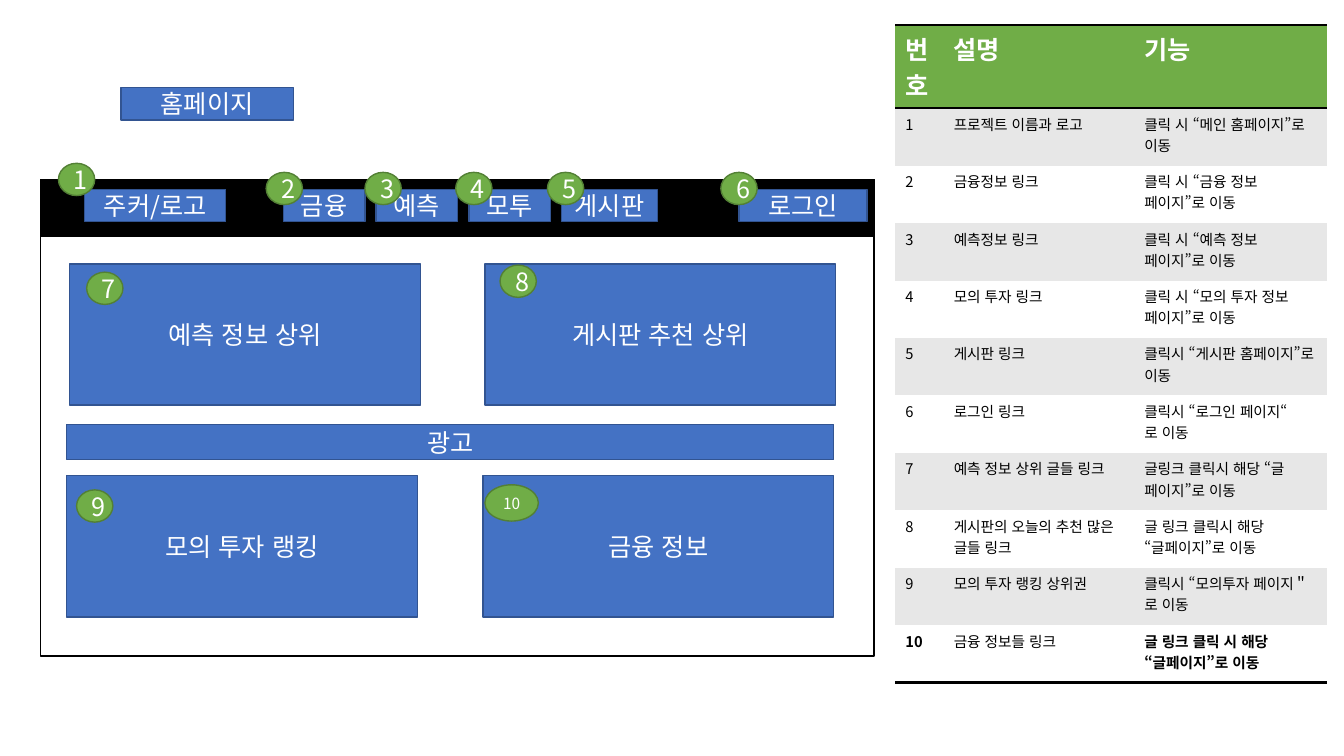
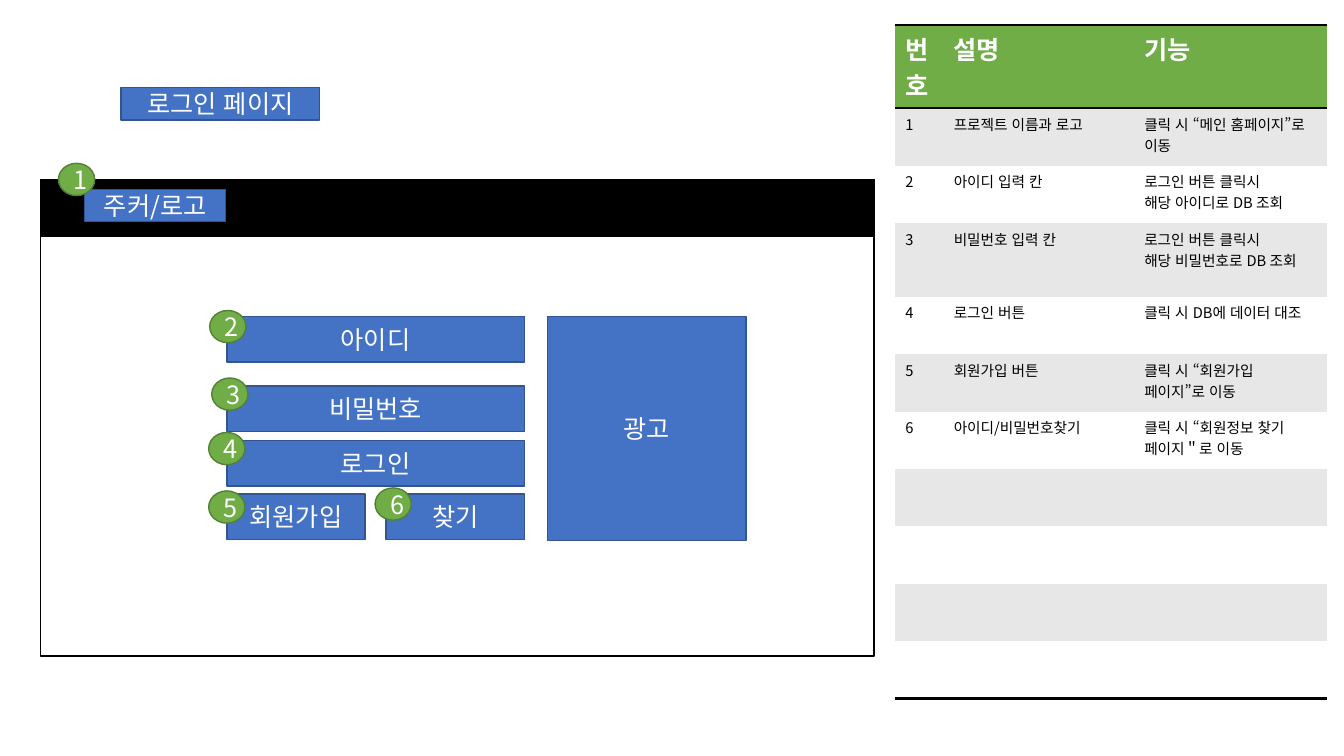
"""Builds two annotated wireframe slides: a home page and a login page."""
from collections import namedtuple

from lxml import etree
from pptx import Presentation
from pptx.dml.color import RGBColor
from pptx.enum import lang, shapes, text
from pptx.oxml import ns
from pptx.util import Inches, Pt

FONT = "Noto Sans CJK KR"
COLORS = {
    "white": "FFFFFF", "black": "000000", "stripe": "E7E7E7",
    "blue": "4472C4", "blue_edge": "325491",
    "green": "70AD47", "green_edge": "538035",
}
NO_GRID_STYLE = "{2D5ABB26-0587-4C30-8999-92F81FD0307C}"
BADGE_SIZE = (0.36, 0.32)
COLUMN_WIDTHS = (0.48, 1.89, 1.91)
HEADINGS = ("번호", "설명", "기능")
SPEC_ROWS = 10


class Box(namedtuple("Box", "left top width height")):
    """A rectangle in inches."""

    def inside(self, dx, dy, width, height):
        """Return a box offset from this one's top left corner."""
        return Box(self.left + dx, self.top + dy, width, height)

    def lengths(self):
        """Return the four lengths for python-pptx."""
        return [Inches(round(value, 2)) for value in self]


FRAME = Box(0.4, 1.78, 8.27, 4.73)
SPEC = Box(8.88, 0.25, sum(COLUMN_WIDTHS), 6.36)


def color(name):
    """Look up a palette colour."""
    return RGBColor.from_string(COLORS[name])


def add_text(paragraph, content, size=18, ink="white", bold=False):
    """Add one formatted run."""
    run = paragraph.add_run()
    run.text = content
    font = run.font
    font.size, font.bold, font.name = Pt(size), bold, FONT
    font.color.rgb = color(ink)
    font.language_id = lang.MSO_LANGUAGE_ID.KOREAN
    latin = run.font._element.find(ns.qn("a:latin"))
    latin.addnext(etree.Element(ns.qn("a:ea"), typeface=FONT))


def paint(part, fill, edge):
    """Set a part's fill and one-point outline."""
    part.fill.solid()
    part.fill.fore_color.rgb = color(fill)
    part.line.color.rgb = color(edge)
    part.line.width = Pt(1)


def add_label(part, content, size=18):
    """Centre a white label in a part."""
    frame = part.text_frame
    frame.word_wrap = True
    frame.auto_size = text.MSO_AUTO_SIZE.NONE
    frame.vertical_anchor = text.MSO_ANCHOR.MIDDLE
    frame.paragraphs[0].alignment = text.PP_ALIGN.CENTER
    add_text(frame.paragraphs[0], content, size)


def add_part(slide, box, fill, edge, label="", size=18, kind="RECTANGLE"):
    """Draw a flat shape with an optional label."""
    part = slide.shapes.add_shape(shapes.MSO_SHAPE[kind], *box.lengths())
    part.shadow.inherit = False
    paint(part, fill, edge)
    if label:
        add_label(part, label, size)


def add_widget(slide, box, label, number="", shift=(0, 0), badge=BADGE_SIZE, size=18):
    """Draw a blue page element and its numbered green badge."""
    add_part(slide, box, "blue", "blue_edge", label)
    if number:
        add_part(slide, box.inside(*shift, *badge), "green", "green_edge",
                 number, size, "OVAL")


def add_title(slide, box, label):
    """Turn the title placeholder into the page tag."""
    title = slide.shapes.title
    title.left, title.top, title.width, title.height = box.lengths()
    paint(title, "blue", "blue_edge")
    add_label(title, label)


def add_browser(slide, frame):
    """Draw the page outline, its black header and the logo."""
    add_part(slide, frame, "white", "black")
    add_part(slide, frame.inside(0, 0, frame.width, 0.57), "black", "black")
    add_widget(slide, frame.inside(0.44, 0.1, 1.4, 0.32), "주커/로고", "1", (-0.26, -0.26))


def add_home(slide, frame):
    """Place the menu, four panels and advert of the home page."""
    menu = [("금융", 0.81, -0.17), ("예측", 0.81, -0.11),
            ("모투", 0.81, -0.13), ("게시판", 0.95, -0.14)]
    for index, (label, width, shift) in enumerate(menu):
        add_widget(slide, frame.inside(2.41 + 0.92 * index, 0.1, width, 0.32),
                   label, str(index + 2), (shift, -0.17))
    add_widget(slide, frame.inside(6.93, 0.1, 1.27, 0.32), "로그인", "6", (-0.18, -0.17))
    panels = [
        (0.29, 0.84, "예측 정보 상위", "7", (0.17, 0.08)),
        (4.41, 0.84, "게시판 추천 상위", "8", (0.15, 0.01)),
        (0.26, 2.94, "모의 투자 랭킹", "9", (0.1, 0.14)),
        (4.39, 2.94, "금융 정보", "10", (0.02, 0.09), (0.53, 0.36), 11),
    ]
    for dx, dy, *details in panels:
        add_widget(slide, frame.inside(dx, dy, 3.48, 1.4), *details)
    add_widget(slide, frame.inside(0.26, 2.43, 7.61, 0.35), "광고")


def add_login(slide, frame):
    """Place the form and advert of the login page."""
    fields = [
        (1.85, 1.36, 2.95, "아이디", "2", (-0.17, -0.06)),
        (1.85, 2.05, 2.95, "비밀번호", "3", (-0.15, -0.08)),
        (1.85, 2.59, 2.95, "로그인", "4", (-0.18, -0.08)),
        (1.85, 3.12, 1.37, "회원가입", "5", (-0.18, -0.03)),
        (3.43, 3.12, 1.37, "찾기", "6", (-0.11, -0.06)),
    ]
    for dx, dy, width, *details in fields:
        add_widget(slide, frame.inside(dx, dy, width, 0.45), *details)
    add_widget(slide, frame.inside(5.03, 1.36, 1.97, 2.22), "광고")


def style_cell(cell, fill, edges):
    """Fill a cell and rule the named edges in black."""
    properties = cell._tc.get_or_add_tcPr()
    for edge in edges:
        rule = etree.SubElement(properties, ns.qn("a:ln" + edge), w=str(Pt(2)))
        solid = etree.SubElement(rule, ns.qn("a:solidFill"))
        etree.SubElement(solid, ns.qn("a:srgbClr"), val=COLORS["black"])
    cell.fill.solid()
    cell.fill.fore_color.rgb = color(fill)


def fill_cell(cell, content, **style):
    """Write each line of the content as a paragraph."""
    frame = cell.text_frame
    for index, line in enumerate(content.split("\n")):
        paragraph = frame.add_paragraph() if index else frame.paragraphs[0]
        add_text(paragraph, line, **style)


def add_spec(slide, box, entries, tall_row=None, bold_row=None):
    """Build the table that explains the numbered elements."""
    holder = slide.shapes.add_table(SPEC_ROWS + 1, len(HEADINGS), *box.lengths())
    next(holder.element.iter(ns.qn("a:tableStyleId"))).text = NO_GRID_STYLE
    table = holder.table
    table.first_row = table.horz_banding = False
    for column, width in zip(table.columns, COLUMN_WIDTHS):
        column.width = Inches(width)
    for index, row in enumerate(table.rows):
        row.height = Inches(0.66 if index == 0 else 0.73 if index == tall_row else 0.57)
        fill = "green" if index == 0 else "stripe" if index % 2 else "white"
        edges = "TB" if index == 0 else "B" if index == SPEC_ROWS else ""
        for cell in row.cells:
            style_cell(cell, fill, edges)
    for cell, heading in zip(table.rows[0].cells, HEADINGS):
        fill_cell(cell, heading, bold=True)
    for number, entry in enumerate(entries, 1):
        for column, content in enumerate((str(number), *entry)):
            fill_cell(table.cell(number, column), content, size=10.5, ink="black",
                      bold=number == bold_row and column != 1)


LOGO_ENTRY = ("프로젝트 이름과 로고", "클릭 시 “메인 홈페이지”로 이동")
HOME_ENTRIES = [
    LOGO_ENTRY,
    ("금융정보 링크", "클릭 시 “금융 정보 페이지”로 이동"),
    ("예측정보 링크", "클릭 시 “예측 정보 페이지”로 이동"),
    ("모의 투자 링크", "클릭 시 “모의 투자 정보 페이지”로 이동"),
    ("게시판 링크", "클릭시 “게시판 홈페이지”로 이동"),
    ("로그인 링크", "클릭시 “로그인 페이지“\n로 이동"),
    ("예측 정보 상위 글들 링크", "글링크 클릭시 해당 “글 페이지”로 이동"),
    ("게시판의 오늘의 추천 많은 글들 링크", "글 링크 클릭시 해당 “글페이지”로 이동"),
    ("모의 투자 랭킹 상위권", "클릭시 “모의투자 페이지＂로 이동"),
    ("금융 정보들 링크", "글 링크 클릭 시 해당 “글페이지”로 이동"),
]
LOGIN_ENTRIES = [
    LOGO_ENTRY,
    ("아이디 입력 칸", "로그인 버튼 클릭시\n해당 아이디로 DB 조회"),
    ("비밀번호 입력 칸", "로그인 버튼 클릭시\n해당 비밀번호로 DB 조회"),
    ("로그인 버튼", "클릭 시 DB에 데이터 대조"),
    ("회원가입 버튼", "클릭 시 “회원가입 페이지”로 이동"),
    ("아이디/비밀번호찾기", "클릭 시 “회원정보 찾기 페이지＂로 이동"),
]


def add_page(deck, name, name_width, add_body, entries, **emphasis):
    """Add a slide with a tag, a wireframe and its table."""
    slide = deck.slides.add_slide(deck.slide_layouts.get_by_name("Title Only"))
    add_title(slide, Box(1.2, 0.87, name_width, 0.32), name)
    add_browser(slide, FRAME)
    add_body(slide, FRAME)
    add_spec(slide, SPEC, entries, **emphasis)


def main():
    """Build and save the deck."""
    deck = Presentation()
    deck.slide_width, deck.slide_height = Inches(13.33), Inches(7.5)
    add_page(deck, "홈페이지", 1.71, add_home, HOME_ENTRIES, bold_row=10)
    add_page(deck, "로그인 페이지", 1.97, add_login, LOGIN_ENTRIES, tall_row=3)
    deck.save("out.pptx")


main()
